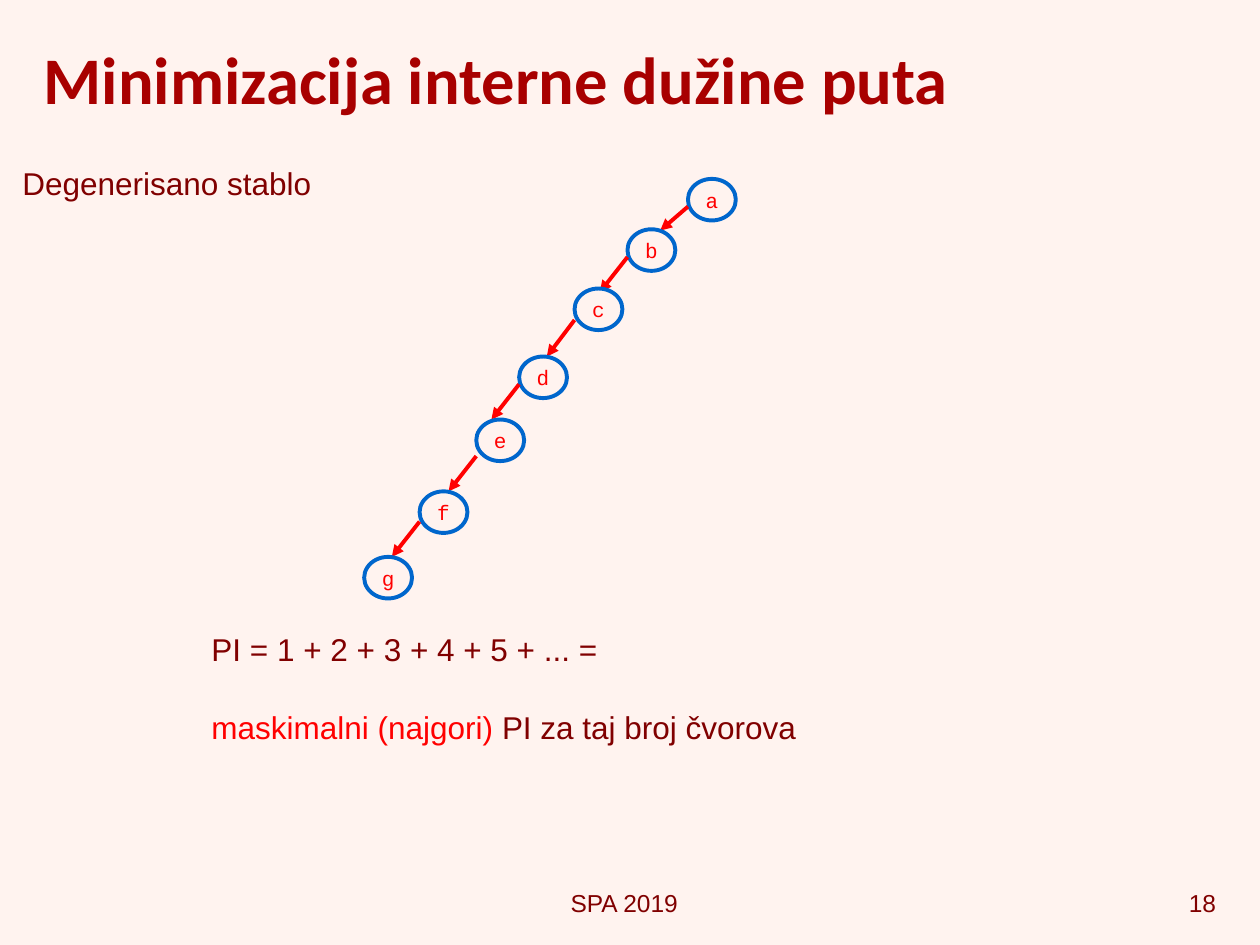
from pptx import Presentation
from pptx import util as u
from pptx.dml.color import RGBColor
from pptx.enum import shapes, text
from pptx.oxml.ns import qn
from lxml import etree

BACKGROUND = "FFF3EF"
MAROON = "800000"
RED = "FF0000"
BLUE = "0066CC"
LINE_WIDTH = u.Pt(2.25)
NODE_WIDTH, NODE_HEIGHT = 0.38, 0.33
ARROW_RUN = 0.22

NODES = [
    ("a", 2.57, 0),
    ("b", 2.09, 0.4),
    ("c", 1.67, 0.87),
    ("d", 1.23, 1.41),
    ("e", 0.89, 1.91),
    ("f", 0.44, 2.48),
    ("g", 0, 3),
]
ARROW_DROPS = [(0.22, 0.19), (0.22, 0.28), (0.25, 0.29), (0.22, 0.28), (0.29, 0.28), (0.24, 0.28)]


def color(value):
    return RGBColor.from_string(value)


def inches(*values):
    return [u.Inches(value) for value in values]


def add_run(paragraph, words, size, fill, font="Arial", bold=False):
    run = paragraph.add_run()
    run.text = words
    run.font.name = font
    run.font.size = u.Pt(size)
    run.font.bold = bold
    run.font.color.rgb = color(fill)


def add_text_box(slide, box):
    frame = slide.shapes.add_textbox(*inches(*box)).text_frame
    frame.word_wrap = True
    return frame


def add_title(slide, box):
    frame = add_text_box(slide, box)
    frame.vertical_anchor = text.MSO_ANCHOR.MIDDLE
    add_run(frame.paragraphs[0], "Minimizacija interne dužine puta", 38, "A80000", "Calibri", True)


def add_label(slide, box, words, size=18, alignment=text.PP_ALIGN.LEFT):
    paragraph = add_text_box(slide, box).paragraphs[0]
    paragraph.alignment = alignment
    add_run(paragraph, words, size, MAROON)


def add_conclusion(slide, box):
    frame = add_text_box(slide, box)
    add_run(frame.paragraphs[0], "PI = 1 + 2 + 3 + 4 + 5 + ... =", 18, MAROON)
    paragraph = frame.add_paragraph()
    paragraph.space_before = u.Pt(23)
    add_run(paragraph, "maskimalni (najgori)", 18, RED)
    add_run(paragraph, " PI za taj broj čvorova", 18, MAROON)


def add_node(slide, box, letter):
    node = slide.shapes.add_shape(shapes.MSO_SHAPE.OVAL, *inches(*box))
    node.shadow.inherit = False
    node.fill.solid()
    node.fill.fore_color.rgb = color(BACKGROUND)
    node.line.color.rgb = color(BLUE)
    node.line.width = LINE_WIDTH
    frame = node.text_frame
    frame.word_wrap = False
    frame.vertical_anchor = text.MSO_ANCHOR.MIDDLE
    paragraph = frame.paragraphs[0]
    paragraph.alignment = text.PP_ALIGN.CENTER
    add_run(paragraph, letter, 12, RED, "Courier New")


def add_arrow(slide, start, end):
    arrow = slide.shapes.add_connector(shapes.MSO_CONNECTOR.STRAIGHT, *inches(*start, *end))
    arrow.line.color.rgb = color(RED)
    arrow.line.width = LINE_WIDTH
    etree.SubElement(arrow.line._get_or_add_ln(), qn("a:tailEnd"), type="triangle")
    etree.SubElement(arrow._element.spPr, qn("a:effectLst"))


def add_tree(slide, left, top):
    for index, (letter, across, down) in enumerate(NODES):
        x, y = left + across, top + down
        add_node(slide, (x, y, NODE_WIDTH, NODE_HEIGHT), letter)
        if index < len(ARROW_DROPS):
            drop, fall = ARROW_DROPS[index]
            add_arrow(slide, (x, y + drop), (x - ARROW_RUN, y + drop + fall))


def main():
    presentation = Presentation()
    presentation.slide_width, presentation.slide_height = inches(10, 7.5)
    slide = presentation.slides.add_slide(presentation.slide_layouts[6])
    slide.background.fill.solid()
    slide.background.fill.fore_color.rgb = color(BACKGROUND)
    add_label(slide, (3.74, 7, 2.43, 0.33), "SPA 2019", 14, text.PP_ALIGN.CENTER)
    add_label(slide, (7.75, 7, 2, 0.33), "18", 14, text.PP_ALIGN.RIGHT)
    add_title(slide, (0.25, 0.08, 9.5, 1.08))
    add_conclusion(slide, (1.58, 4.95, 6.98, 1.23))
    add_label(slide, (0.08, 1.25, 3.4, 0.43), "Degenerisano stablo")
    add_tree(slide, 2.89, 1.42)
    presentation.save("out.pptx")


if __name__ == "__main__":
    main()
